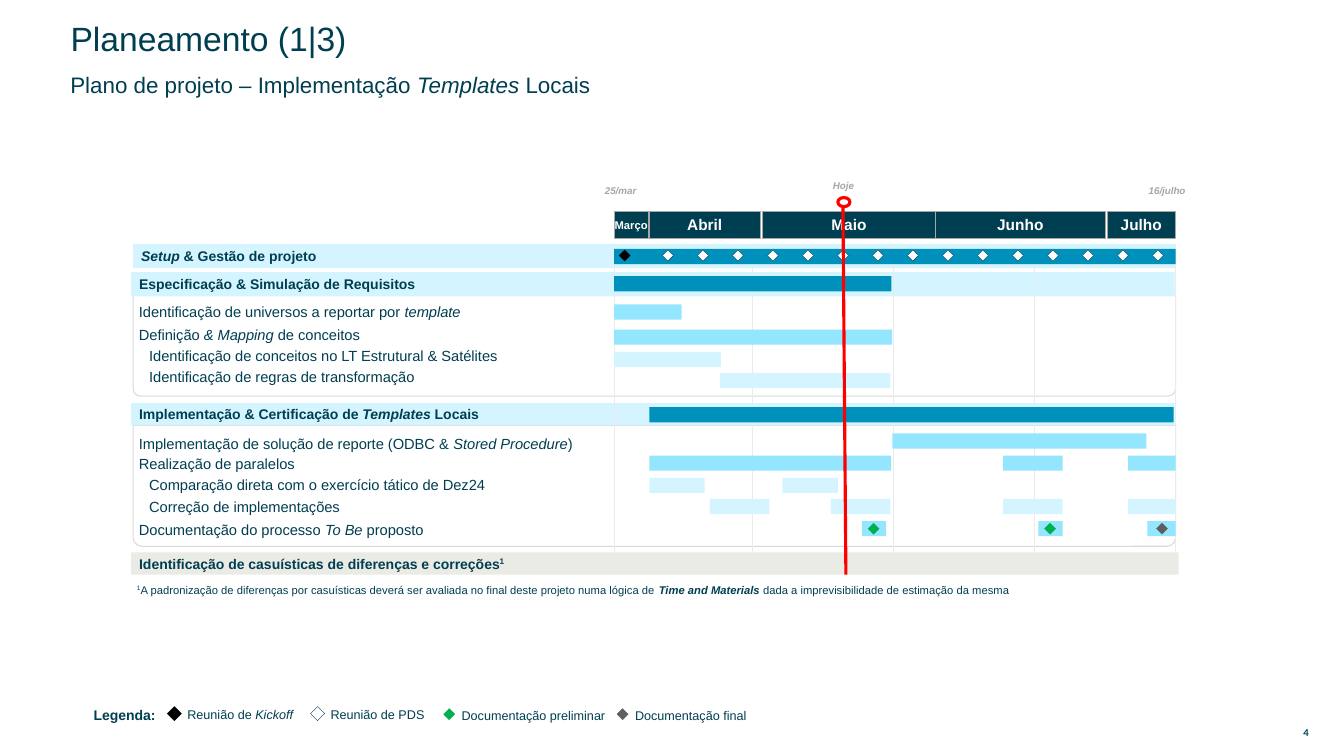
from lxml import etree
from pptx import Presentation
from pptx.dml.color import RGBColor
from pptx.enum.shapes import MSO_CONNECTOR, MSO_SHAPE
from pptx.enum.text import MSO_ANCHOR, MSO_AUTO_SIZE, PP_ALIGN
from pptx.oxml.ns import qn
from pptx.util import Inches, Pt

RECT, DIAMOND, OVAL = MSO_SHAPE.RECTANGLE, MSO_SHAPE.DIAMOND, MSO_SHAPE.OVAL
FRAME = MSO_SHAPE.ROUND_2_SAME_RECTANGLE
STRAIGHT = MSO_CONNECTOR.STRAIGHT
LEFT, CENTER = PP_ALIGN.LEFT, PP_ALIGN.CENTER
TOP, MIDDLE = MSO_ANCHOR.TOP, MSO_ANCHOR.MIDDLE
NO_FIT = MSO_AUTO_SIZE.NONE

NAVY, BLUE, SKY, PALE = "003E51", "0090BC", "94E6FF", "D4F5FF"
WHITE, BLACK, RED, GREEN = "FFFFFF", "000000", "FF0000", "00B050"
GREY, DARK_GREY, GRID, STONE, BORDER = "A6A6A6", "5F5F5F", "EBEBEB", "EBEBE6", "D9D9D9"
ITALIC = {"italic": True}
BOLD_ITALIC = {"bold": True, "italic": True}
SUPERSCRIPT = {"baseline": 30000}
START, END = 6.09, 11.66
DIAMOND_SIZE, BAR_HEIGHT = 0.11, 0.15

MONTHS = [
    ("Março", START, 0.34, 8), ("Abril", 6.44, 1.1, 11), ("Maio", 7.56, 1.72, 11),
    ("Junho", 9.28, 1.68, 11), ("Julho", 10.98, 0.68, 11),
]
BANDS = [
    (1.32, 2.42, 10.34, 0.24, PALE, [("Setup", ITALIC), " & Gestão de projeto"]),
    (1.3, 2.7, 10.35, 0.24, PALE, ["Especificação & Simulação de Requisitos"]),
    (1.3, 4, 10.35, 0.22, PALE,
     ["Implementação & Certificação de ", ("Templates ", ITALIC), "Locais"]),
    (1.3, 5.48, 10.39, 0.22, STONE,
     ["Identificação de casuísticas de diferenças e correções", ("1", SUPERSCRIPT)]),
]
TASKS = [
    (2.97, 0.24, 0.1, ["Identificação de universos a reportar por ", ("template", ITALIC)]),
    (3.21, 0.22, 0.1, ["Definição", (" & Mapping", ITALIC), " de conceitos"]),
    (3.43, 0.2, 0.2, ["Identificação de conceitos no LT Estrutural & Satélites"]),
    (3.63, 0.22, 0.2, ["Identificação de regras de transformação"]),
    (4.27, 0.27, 0.1, ["Implementação de solução de reporte (ODBC & ",
                       ("Stored Procedure", ITALIC), ")"]),
    (4.49, 0.22, 0.1, ["Realização de paralelos"]),
    (4.71, 0.2, 0.2, ["Comparação direta com o exercício tático de Dez24"]),
    (4.92, 0.22, 0.2, ["Correção de implementações"]),
    (5.15, 0.2, 0.1, ["Documentação do processo ", ("To Be", ITALIC), " proposto"]),
]
BARS = [
    (2.47, BLUE, [(START, 5.57)]),
    (2.74, BLUE, [(START, 2.75)]),
    (3.02, SKY, [(START, 0.67)]),
    (3.27, SKY, [(START, 2.76)]),
    (3.49, PALE, [(START, 1.06)]),
    (3.7, PALE, [(7.14, 1.69)]),
    (4.04, BLUE, [(6.44, 5.2)]),
    (4.3, SKY, [(8.85, 2.52)]),
    (4.52, SKY, [(6.44, 2.4), (9.95, 0.59), (11.19, 0.47)]),
    (4.74, PALE, [(6.44, 0.55), (7.76, 0.55)]),
    (4.95, PALE, [(7.04, 0.59), (8.24, 0.59), (9.95, 0.59), (11.19, 0.47)]),
    (5.17, SKY, [(8.55, 0.24), (10.3, 0.24), (11.38, 0.28)]),
]
DELIVERIES = [(8.61, GREEN), (10.36, GREEN), (11.47, DARK_GREY)]
LEGEND = [
    (1.66, 7.01, 0.14, BLACK, BLACK, 1.76, 6.95, ["Reunião de ", ("Kickoff", ITALIC)]),
    (3.08, 7.01, 0.14, WHITE, NAVY, 3.18, 6.95, ["Reunião de PDS"]),
    (4.4, 7.03, 0.11, GREEN, GREEN, 4.48, 6.96, ["Documentação preliminar"]),
    (6.12, 7.03, 0.11, DARK_GREY, DARK_GREY, 6.2, 6.96, ["Documentação final"]),
]


def colour(value):
    return RGBColor.from_string(value)


def write(box, parts, size, text_colour=NAVY, align=LEFT, anchor=MIDDLE,
          insets=(0.1, 0.05, 0.1, 0.05), spacing=1, font_name="Arial", **style):
    frame = box.text_frame
    left, top, right, bottom = map(Inches, insets)
    settings = {"word_wrap": True, "auto_size": NO_FIT, "vertical_anchor": anchor,
                "margin_left": left, "margin_top": top,
                "margin_right": right, "margin_bottom": bottom}
    for name, value in settings.items():
        setattr(frame, name, value)
    para = frame.paragraphs[0]
    para.alignment, para.line_spacing = align, spacing
    para.space_before = Pt(0)
    for part in parts:
        text, extra = (part, {}) if isinstance(part, str) else part
        span = para.add_run()
        span.text = text
        span.font.color.rgb = colour(text_colour)
        formats = {"name": font_name, "size": Pt(size), **style, **extra}
        baseline = formats.pop("baseline", None)
        for name, value in formats.items():
            setattr(span.font, name, value)
        if baseline:
            span._r.get_or_add_rPr().set("baseline", str(baseline))


def add_text(page, left, top, width, height, parts, size, **options):
    box = page.shapes.add_textbox(*map(Inches, (left, top, width, height)))
    write(box, parts, size, **options)


def add_shape(page, kind, left, top, width, height, fill=None, line=None, weight=0.25):
    shape = page.shapes.add_shape(kind, *map(Inches, (left, top, width, height)))
    shape.shadow.inherit = False
    if fill:
        shape.fill.solid()
        shape.fill.fore_color.rgb = colour(fill)
    else:
        shape.fill.background()
    if line:
        shape.line.color.rgb = colour(line)
        shape.line.width = Pt(weight)
    else:
        shape.line.fill.background()
    return shape


def add_line(page, start_x, start_y, end_x, end_y, line, weight):
    connector = page.shapes.add_connector(
        STRAIGHT, *map(Inches, (start_x, start_y, end_x, end_y)))
    connector.line.color.rgb = colour(line)
    connector.line.width = Pt(weight)
    etree.SubElement(connector._element.spPr, qn("a:effectLst"))


def add_diamond(page, left, top, fill, line, size=DIAMOND_SIZE):
    add_shape(page, DIAMOND, left, top, size, size, fill, line)


def add_date(page, left, top, text):
    add_text(page, left, top, 0.71, 0.22, [text], 7, text_colour=GREY, align=CENTER,
             anchor=TOP, insets=(0, 0.05, 0, 0.05), **BOLD_ITALIC)


def add_headings(page):
    title = page.shapes.title
    title.left, title.top, title.width, title.height = map(Inches, (0.6, 0.27, 7.95, 0.26))
    write(title, ["Planeamento (1|3)"], 24, spacing=0.9)
    add_text(page, 0.6, 0.73, 7.66, 0.26,
             ["Plano de projeto – Implementação ", ("Templates", ITALIC), " Locais"],
             16, spacing=0.9)


def add_plan(page):
    for top, height in ((2.91, 1.02), (4.22, 1.2)):
        frame = add_shape(page, FRAME, 1.32, top, 10.34, height, line=BORDER, weight=0.75)
        frame.adjustments[0], frame.adjustments[1] = 0, 0.073
    for left, top, width, height, fill, parts in BANDS[:3]:
        add_band(page, left, top, width, height, fill, parts)
    for top, height, indent, parts in TASKS:
        add_text(page, 1.28, top, 4.94, height, parts, 10.5,
                 insets=(indent, 0.05, 0.1, 0.05))
    for x in (START, 7.46, 8.86, 10.26, END):
        add_line(page, x, 2.42, x, 5.69, GRID, 0.25)
    for top, fill, spans in BARS:
        for left, width in spans:
            add_shape(page, RECT, left, top, width, BAR_HEIGHT, fill)
    add_band(page, *BANDS[3])


def add_band(page, left, top, width, height, fill, parts):
    band = add_shape(page, RECT, left, top, width, height, fill)
    write(band, parts, 10, insets=(0.08, 0.11, 0.08, 0.11), bold=True)


def add_milestones(page):
    add_diamond(page, 6.14, 2.48, BLACK, BLACK)
    meetings = 15
    for index in range(meetings):
        add_diamond(page, 6.57 + 4.86 * index / (meetings - 1), 2.48, WHITE, NAVY)
    for left, fill in DELIVERIES:
        add_diamond(page, left, 5.19, fill, fill)


def add_calendar(page):
    for name, left, width, size in MONTHS:
        month = add_shape(page, RECT, left, 2.1, width, 0.26, NAVY, GREY)
        write(month, [name], size, text_colour=WHITE, align=CENTER,
              insets=(0, 0.05, 0, 0.05), bold=True)
    add_date(page, 5.8, 1.78, "25/mar")
    add_date(page, 11.22, 1.78, "16/julho")
    add_line(page, 8.36, 2, 8.39, 5.7, RED, 2.25)
    add_shape(page, OVAL, 8.31, 1.96, 0.12, 0.09, WHITE, RED, 2.25)
    add_date(page, 8.01, 1.73, "Hoje")


def add_notes_and_legend(page):
    add_text(page, 1.26, 5.72, 10.81, 0.24, [
        ("1", SUPERSCRIPT),
        "A padronização de diferenças por casuísticas deverá ser avaliada no final "
        "deste projeto numa lógica de ",
        ("Time and Materials ", BOLD_ITALIC),
        "dada a imprevisibilidade de estimação da mesma",
    ], 8, anchor=TOP, spacing=1.1)
    add_text(page, 0.83, 6.94, 0.9, 0.29, ["Legenda:"], 10, anchor=TOP,
             spacing=1.1, bold=True)
    for left, top, size, fill, line, text_left, text_top, parts in LEGEND:
        add_diamond(page, left, top, fill, line, size)
        add_text(page, text_left, text_top, 1.69, 0.27, parts, 9, anchor=TOP, spacing=1.1)
    add_text(page, 12.73, 7.19, 0.45, 0.16, ["4"], 6.8, align=CENTER,
             insets=(0.06, 0.03, 0.06, 0.03), font_name="Lato", bold=True)


def main():
    deck = Presentation()
    deck.slide_width, deck.slide_height = Inches(13.33), Inches(7.5)
    page = deck.slides.add_slide(deck.slide_layouts[5])
    add_headings(page)
    add_plan(page)
    add_milestones(page)
    add_calendar(page)
    add_notes_and_legend(page)
    deck.save("out.pptx")


if __name__ == "__main__":
    main()
